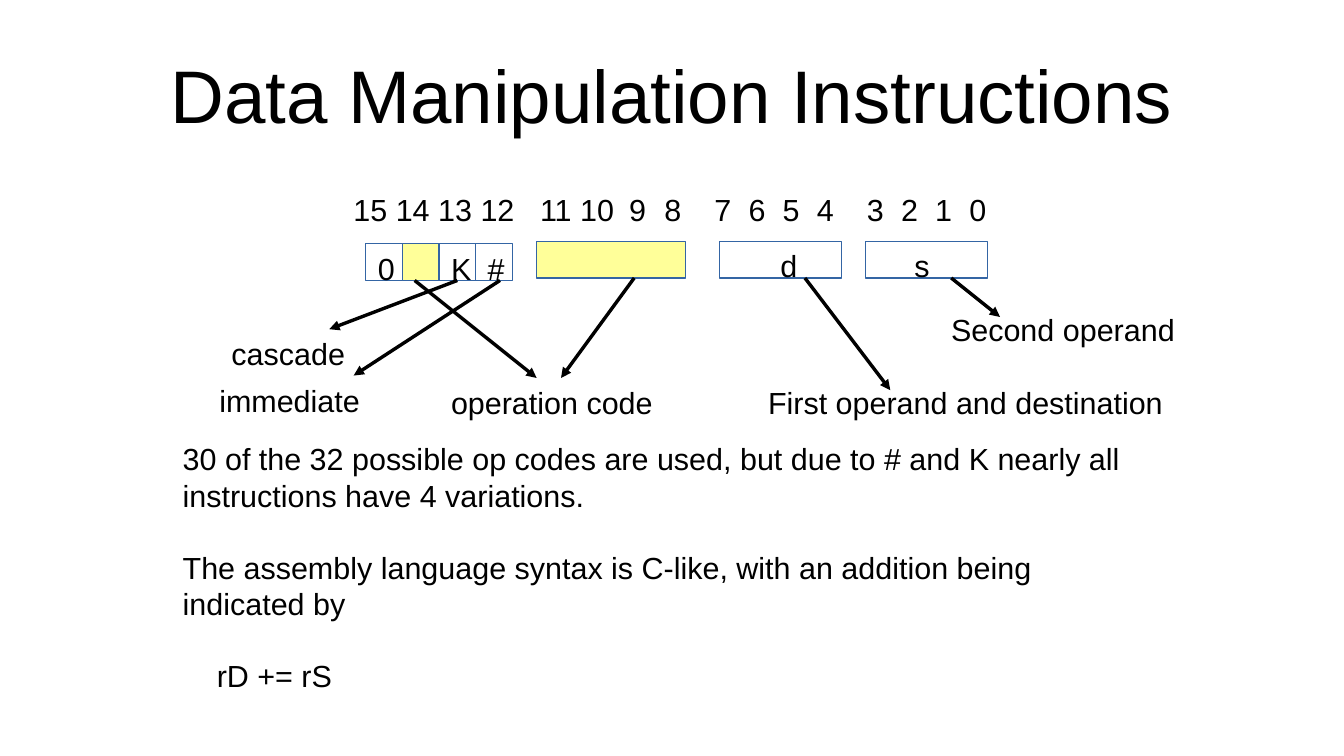
import dataclasses

import lxml.etree
import pptx
import pptx.dml.color
import pptx.enum.shapes
import pptx.enum.text
import pptx.oxml.ns
import pptx.util

Inches = pptx.util.Inches
Pt = pptx.util.Pt


@dataclasses.dataclass(frozen=True)
class Theme:
    font: str = "Arial"
    title_size: int = 44
    body_size: int = 18
    blank_line: int = 21
    text: str = "000000"
    outline: str = "3465A4"
    opcode_fill: str = "FFFF99"


THEME = Theme()
LINE_HEIGHT = 0.38
FIELD_HEIGHT = 0.3


def rgb(value):
    return pptx.dml.color.RGBColor.from_string(value)


def append_element(parent, tag, **attributes):
    element = lxml.etree.SubElement(parent, pptx.oxml.ns.qn(tag))
    for name, value in attributes.items():
        element.set(name, str(value))
    return element


def style_font(font, size):
    font.name = THEME.font
    font.size = Pt(size)
    font.color.rgb = rgb(THEME.text)


def add_text(slide, text, left, top, width, height=LINE_HEIGHT, size=THEME.body_size):
    box = slide.shapes.add_textbox(Inches(left), Inches(top), Inches(width), Inches(height))
    text_frame = box.text_frame
    text_frame.word_wrap = True
    text_frame.text = text
    for paragraph in text_frame.paragraphs:
        for run in paragraph.runs:
            style_font(run.font, size)
    return text_frame


def add_field(slide, left, top, width, fill=None):
    shape = slide.shapes.add_shape(
        pptx.enum.shapes.MSO_SHAPE.RECTANGLE,
        Inches(left), Inches(top), Inches(width), Inches(FIELD_HEIGHT))
    shape.shadow.inherit = False
    if fill:
        shape.fill.solid()
        shape.fill.fore_color.rgb = rgb(fill)
    else:
        shape.fill.background()
    shape.line.color.rgb = rgb(THEME.outline)
    shape.line.width = Pt(0)


def add_arrow(slide, start, end):
    connector = slide.shapes.add_connector(
        pptx.enum.shapes.MSO_CONNECTOR.STRAIGHT,
        *(Inches(value) for value in (*start, *end)))
    connector.line.color.rgb = rgb(THEME.text)
    connector.line.width = Pt(0)
    properties = connector._element.spPr
    append_element(properties.find(pptx.oxml.ns.qn("a:ln")), "a:tailEnd", type="triangle")
    append_element(properties, "a:effectLst")


def add_title(slide, left, top, width, height):
    text_frame = add_text(slide, "Data Manipulation Instructions",
                          left, top, width, height, THEME.title_size)
    text_frame.margin_left = text_frame.margin_right = 0
    text_frame.margin_top = text_frame.margin_bottom = 0
    text_frame.vertical_anchor = pptx.enum.text.MSO_ANCHOR.MIDDLE
    text_frame.paragraphs[0].alignment = pptx.enum.text.PP_ALIGN.CENTER


def add_bit_numbers(slide, left, top, width):
    digit_step = 0.28
    stops = [1.53, 2.26, 2.55]
    for group_start in (2.96, 4.21):
        stops += [group_start + digit_step * index for index in range(4)]
    text_frame = add_text(slide, "15 14 13 12\t11 10\t9\t8\t7\t6\t5\t4\t3\t2\t1\t0",
                          left, top, width)
    properties = text_frame.paragraphs[0]._p.get_or_add_pPr()
    tab_list = append_element(properties, "a:tabLst")
    for stop in stops:
        append_element(tab_list, "a:tab", pos=int(Inches(stop)), algn="l")


def add_instruction_word(slide, left, top):
    # Single-bit fields
    bit_width = 0.3
    bit_top = top + 0.02
    for index, name in enumerate(("0", "", "K", "#")):
        bit_left = left + index * bit_width
        add_field(slide, bit_left, bit_top, bit_width, None if name else THEME.opcode_fill)
        if name:
            add_text(slide, name, bit_left, bit_top, bit_width)

    # Four-bit fields
    add_field(slide, left + 1.4, top, 1.22, THEME.opcode_fill)
    for name, field_offset, name_offset in (("d", 2.9, 3.3), ("s", 4.1, 4.4)):
        add_field(slide, left + field_offset, top, 1)
        add_text(slide, name, left + name_offset, top, 0.5)


def add_callouts(slide, left, top):
    # Field meanings
    for text, x, y, width in (
        ("cascade", 0.1, 0.42, 1.3),
        ("immediate", 0, 0.8, 1.5),
        ("operation code", 1.9, 0.82, 2.1),
        ("First operand and destination", 4.5, 0.82, 3.7),
        ("Second operand", 6, 0.22, 2.5),
    ):
        add_text(slide, text, left + x, top + y, width)

    # Arrows from the fields to their meanings
    for x, y, end_x, end_y in (
        (2.4, 0.02, 1.2, 0.8),
        (2.05, 0.02, 1, 0.42),
        (1.7, 0.02, 2.7, 0.82),
        (3.5, 0, 2.9, 0.82),
        (4.9, 0, 5.6, 0.92),
        (6.1, 0, 6.5, 0.32),
    ):
        add_arrow(slide, (left + x, top + y), (left + end_x, top + end_y))


def add_explanation(slide, left, top, width, height):
    text_frame = add_text(slide, "\n".join((
        "30 of the 32 possible op codes are used, but due to # and K nearly all "
        "instructions have 4 variations.",
        "The assembly language syntax is C-like, with an addition being",
        "indicated by",
        "rD += rS",
    )), left, top, width, height)
    paragraphs = text_frame.paragraphs
    for paragraph in (paragraphs[1], paragraphs[3]):
        paragraph.space_before = Pt(THEME.blank_line)
    properties = paragraphs[3]._p.get_or_add_pPr()
    properties.set("marL", str(int(Inches(0.28))))
    properties.set("indent", "0")


def main():
    presentation = pptx.Presentation()
    presentation.slide_width = Inches(11.02)
    presentation.slide_height = Inches(6.2)
    slide = presentation.slides.add_slide(presentation.slide_layouts[6])
    add_title(slide, 0.55, 0.25, 9.92, 1.04)
    add_bit_numbers(slide, 2.8, 1.52, 5.7)
    add_instruction_word(slide, 3, 1.98)
    add_callouts(slide, 1.7, 2.28)
    add_explanation(slide, 1.4, 3.56, 8.1, 2.34)
    presentation.save("out.pptx")


if __name__ == "__main__":
    main()
